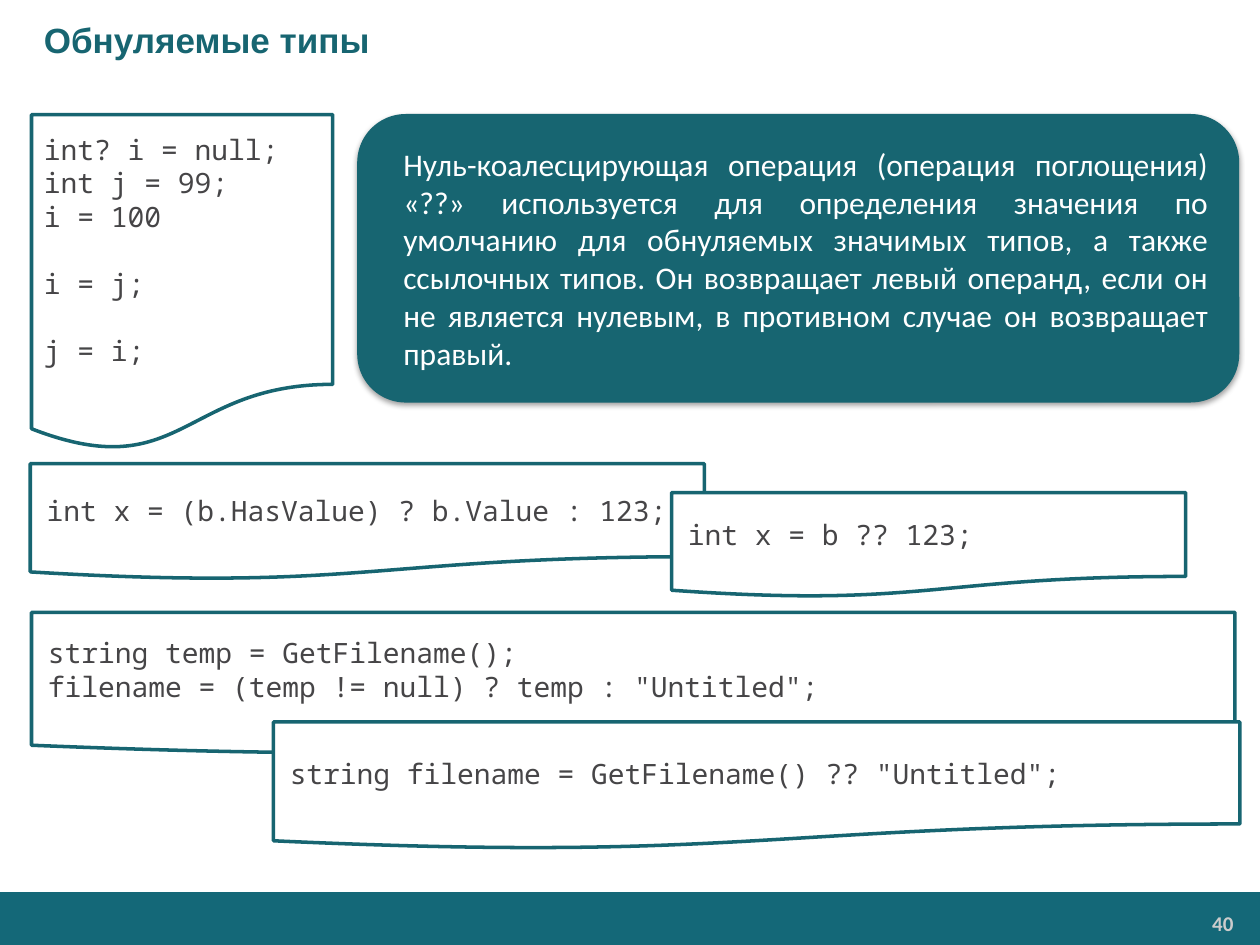
from lxml import etree
from pptx import Presentation
from pptx.dml.color import RGBColor
from pptx.enum.shapes import MSO_SHAPE
from pptx.enum.text import MSO_ANCHOR, PP_ALIGN
from pptx.oxml.ns import qn
from pptx.util import Inches, Pt

RECT, ROUND, DOCUMENT = (MSO_SHAPE.RECTANGLE, MSO_SHAPE.ROUNDED_RECTANGLE,
                         MSO_SHAPE.FLOWCHART_DOCUMENT)
LEFT, RIGHT, JUSTIFY = PP_ALIGN.LEFT, PP_ALIGN.RIGHT, PP_ALIGN.JUSTIFY
TOP, MIDDLE = MSO_ANCHOR.TOP, MSO_ANCHOR.MIDDLE

THEME = {
    "teal": RGBColor(0x17, 0x65, 0x71),
    "footer": RGBColor(0x14, 0x68, 0x78),
    "white": RGBColor(0xFF, 0xFF, 0xFF),
    "title": dict(name="Arial", size=Pt(20), bold=True, color=RGBColor(0x17, 0x65, 0x71)),
    "body": dict(name="Calibri", size=Pt(18), color=RGBColor(0xFF, 0xFF, 0xFF)),
    "code": dict(name="Noto Sans Mono", size=Pt(16), color=RGBColor(0x46, 0x45, 0x47)),
    "number": dict(name="Calibri", size=Pt(12), bold=True, color=RGBColor(0xCC, 0xCC, 0xCC)),
    "code_gap": Pt(19),
}


def add_box(preset, box, fill, line_width=0):
    sp = s.shapes.add_shape(preset, *map(Inches, box))
    sp.shadow.inherit = False
    sp.fill.solid()
    sp.fill.fore_color.rgb = fill
    if line_width:
        sp.line.color.rgb = THEME["teal"]
        sp.line.width = Pt(line_width)
    else:
        sp.line.fill.background()
    return sp


def write(sp, lines, style, align=LEFT, anchor=MIDDLE, insets=(0.13, 0.06), indent=0):
    """Fill a shape with paragraphs; an empty line becomes space before the next one."""
    tf = sp.text_frame
    tf.word_wrap = True
    tf.vertical_anchor = anchor
    tf.margin_left = tf.margin_right = Inches(insets[0])
    tf.margin_top = tf.margin_bottom = Inches(insets[1])
    p, gap = tf.paragraphs[0], False
    for i, line in enumerate(lines):
        if not line:
            gap = True
            continue
        if i:
            p = tf.add_paragraph()
        p.alignment = align
        if indent:
            p._p.get_or_add_pPr().set("marL", str(Inches(indent)))
        if gap:
            p.space_before = THEME["code_gap"]
            gap = False
        r = p.add_run()
        r.text = line
        for key, value in THEME[style].items():
            if key == "color":
                r.font.color.rgb = value
            else:
                setattr(r.font, key, value)


prs = Presentation()
prs.slide_width, prs.slide_height = Inches(10), Inches(7.5)
s = prs.slides.add_slide(prs.slide_layouts[6])

# Footer and title
add_box(RECT, (0, 7.08, 10.01, 0.43), THEME["footer"])
number = s.shapes.add_textbox(*map(Inches, (8.23, 7.19, 1.63, 0.28)))
write(number, ["40"], "number", RIGHT, TOP, (0.07, 0.04))
title = s.shapes.add_textbox(*map(Inches, (0, 0, 10, 0.63)))
write(title, ["Обнуляемые типы"], "title", insets=(0.1, 0.05), indent=0.25)

# Definition with a soft shadow
definition = add_box(ROUND, (2.84, 0.91, 6.99, 2.28), THEME["teal"], 0.75)
write(definition, [
    "Нуль-коалесцирующая операция (операция поглощения) «??» используется для "
    "определения значения по умолчанию для обнуляемых значимых типов, а "
    "также ссылочных типов. Он возвращает левый операнд, если он не является "
    "нулевым, в противном случае он возвращает правый.",
], "body", JUSTIFY, indent=0.12)
effects = definition._element.spPr.find(qn("a:effectLst"))
shadow = etree.SubElement(effects, qn("a:outerShdw"), blurRad=str(Pt(3.1)),
                          dist=str(Pt(1.6)), dir="5400000", rotWithShape="0")
color = etree.SubElement(shadow, qn("a:srgbClr"), val="000000")
etree.SubElement(color, qn("a:alpha"), val="38000")

# Code samples, back to front
samples = [
    ((0.24, 3.68, 5.35, 0.92), (0.13, 0.06), ["int x = (b.HasValue) ? b.Value : 123;"]),
    ((0.25, 4.86, 9.55, 1.13), (0.13, 0.06), [
        "string temp = GetFilename();",
        'filename = (temp != null) ? temp : "Untitled";']),
    ((5.33, 3.91, 4.08, 0.83), (0.13, 0.06), ["int x = b ?? 123;"]),
    ((2.17, 5.73, 7.67, 1.01), (0.13, 0.06),
     ['string filename = GetFilename() ?? "Untitled";']),
    ((0.25, 0.91, 2.39, 2.67), (0.1, 0.05),
     ["int? i = null;", "int j = 99;", "i = 100", "", "i = j;", "", "j = i;"]),
]
for box, insets, code in samples:
    write(add_box(DOCUMENT, box, THEME["white"], 2), code, "code", insets=insets)

prs.save("out.pptx")
